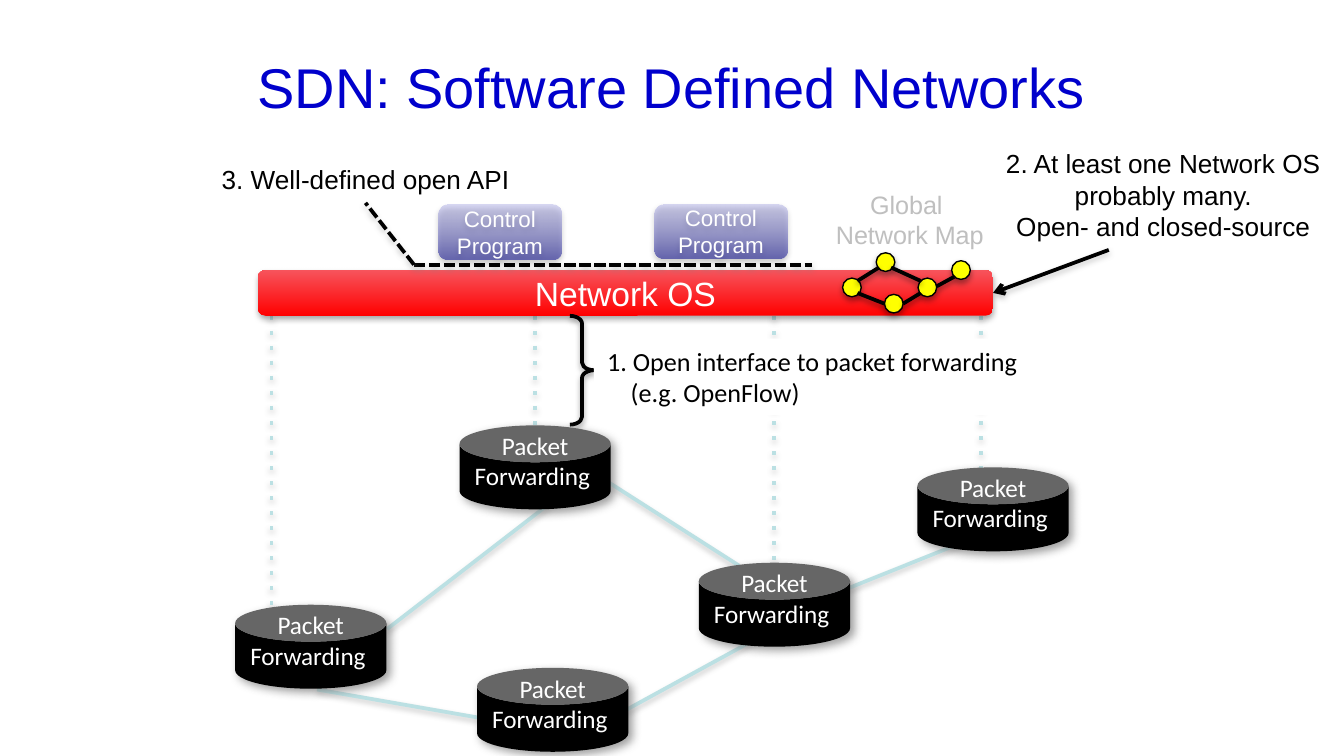
from typing import NamedTuple, Optional

from lxml.etree import SubElement
from pptx import Presentation
from pptx.dml.color import RGBColor
from pptx.enum.shapes import MSO_CONNECTOR, MSO_SHAPE
from pptx.enum.text import MSO_ANCHOR, PP_ALIGN
from pptx.oxml.ns import qn
from pptx.util import Pt

COLORS = {
    "black": "000000", "white": "FFFFFF", "title": "0000CC", "muted": "BFBFBF",
    "link": "BBE0E3", "shade": "808080", "node": "FFFF00",
    "os_low": "FF0000", "os_high": "F7545C",
    "program_low": "1F1F98", "program_high": "A9A9E5",
}


class Area(NamedTuple):
    left: float
    top: float
    width: float
    height: float


class Shadow(NamedTuple):
    color: str
    alpha: int
    blur: float
    distance: float
    angle: int


class Stop(NamedTuple):
    color: str
    alpha: int = 100


class Label(NamedTuple):
    lines: tuple[str, ...]
    size: float
    color: str = "black"
    font: str = "Arial"
    align: PP_ALIGN = PP_ALIGN.CENTER
    indent: float = 0


class Stroke(NamedTuple):
    color: str
    dash: Optional[str] = None
    arrow: bool = False
    shadow: Shadow = Shadow("shade", 38, 3.1, 1.6, 90)


class Segment(NamedTuple):
    x1: float
    y1: float
    x2: float
    y2: float


SOFT = Shadow("black", 35, 3.1, 1.8, 90)
CAN_SHADOW = Shadow("shade", 75, 5, 3, 45)
BRACE_SHADOW = Shadow("shade", 69, 3.1, 1.6, 90)
LINK = Stroke("link")
CONTROL = Stroke("link", dash="dot")
API = Stroke("black", dash="sysDash")
POINTER = Stroke("black", arrow=True)
MAP_EDGE = Stroke("black", shadow=Shadow("black", 38, 3.1, 1.6, 90))
PROGRAM_STOPS = (Stop("program_low", 60), Stop("program_high", 45))
OS_STOPS = (Stop("os_low"), Stop("os_high"))
NO_INSETS = {"margin_top": 0, "margin_bottom": 0}

OS_AREA = Area(138.2, 144.7, 393.8, 24.5)
OS_BOTTOM = OS_AREA.top + OS_AREA.height
PROGRAMS = (Area(234.7, 109.8, 66.2, 29.1), Area(350.6, 109.4, 71.3, 29.1))
LINKS = (
    Segment(207.4, 337, 305.3, 261.4), Segment(318.2, 253.4, 396, 303.1),
    Segment(324, 386.6, 414.7, 337), Segment(169.9, 369.4, 268.6, 386.6),
    Segment(441.4, 320.4, 525.6, 286.6),
)
CONTROL_ENDS = ((145.4, 333.4), (286.6, 227.5), (414.7, 303.1), (525.6, 253.4))
CANS = ((126, 324), (255.6, 357.8), (246.2, 227.9), (374.4, 301.5), (491.5, 250.4))
MAP_NODES = ((451.4, 149), (469.4, 135.4), (491.8, 149), (509.8, 139.7), (473.8, 157.7))
MAP_EDGES = (
    Segment(459.4, 150.5, 470.9, 143.3), Segment(473.8, 162.7, 459.4, 157),
    Segment(493.2, 150.5, 477.4, 143.3), Segment(483.8, 162.7, 493.2, 157),
    Segment(501.8, 153.4, 511.2, 148.3),
)


def rgb(name: str) -> RGBColor:
    return RGBColor.from_string(COLORS[name])


def apply(target, values: dict) -> None:
    for name, value in values.items():
        setattr(target, name, value)


def add_shadow(item, shadow: Shadow) -> None:
    effects = SubElement(item._element.spPr, qn("a:effectLst"))
    outer = SubElement(
        effects, qn("a:outerShdw"), blurRad=str(Pt(shadow.blur)),
        dist=str(Pt(shadow.distance)), dir=str(shadow.angle * 60000),
        algn="ctr", rotWithShape="0")
    color = SubElement(outer, qn("a:srgbClr"), val=COLORS[shadow.color])
    SubElement(color, qn("a:alpha"), val=str(shadow.alpha * 1000))


def write_label(box, label: Label, **frame_values) -> None:
    frame = box.text_frame
    apply(frame, {"word_wrap": True, "vertical_anchor": MSO_ANCHOR.TOP, **frame_values})
    font_values = {"name": label.font, "size": Pt(label.size)}
    for number, line in enumerate(label.lines):
        para = frame.add_paragraph() if number else frame.paragraphs[0]
        para.alignment = label.align
        if number and label.indent:
            para._p.get_or_add_pPr().set("marL", str(Pt(label.indent)))
        span = para.add_run()
        span.text = line
        apply(span.font, font_values)
        span.font.color.rgb = rgb(label.color)


def add_text(page, area: Area, label: Label, **frame_values):
    box = page.shapes.add_textbox(*map(Pt, area))
    write_label(box, label, **frame_values)
    return box


def add_figure(page, preset: MSO_SHAPE, area: Area, fill: Optional[str] = None,
               outline: float = 0, shadow: Optional[Shadow] = None):
    figure = page.shapes.add_shape(preset, *map(Pt, area))
    if fill:
        figure.fill.solid()
        figure.fill.fore_color.rgb = rgb(fill)
    else:
        figure.fill.background()
    if outline:
        figure.line.width = Pt(outline)
        figure.line.color.rgb = rgb("black")
    else:
        figure.line.fill.background()
    if shadow:
        add_shadow(figure, shadow)
    else:
        figure.shadow.inherit = False
    return figure


def add_bar(page, area: Area, stops: tuple[Stop, ...], label: Label):
    bar = add_figure(page, MSO_SHAPE.ROUNDED_RECTANGLE, area, shadow=SOFT)
    bar.fill.gradient()
    bar.fill.gradient_angle = 90
    for target, stop in zip(bar.fill.gradient_stops, stops):
        target.color.rgb = rgb(stop.color)
    for color, stop in zip(bar._element.spPr.iterfind(".//" + qn("a:gs") + "/" + qn("a:srgbClr")), stops):
        SubElement(color, qn("a:alpha"), val=str(stop.alpha * 1000))
    write_label(bar, label, vertical_anchor=MSO_ANCHOR.MIDDLE, **NO_INSETS)
    return bar


def add_line(page, segment: Segment, stroke: Stroke):
    line = page.shapes.add_connector(MSO_CONNECTOR.STRAIGHT, *map(Pt, segment))
    line.line.width = Pt(2)
    line.line.color.rgb = rgb(stroke.color)
    pen = line.line._get_or_add_ln()
    if stroke.dash:
        SubElement(pen, qn("a:prstDash"), val=stroke.dash)
    if stroke.arrow:
        SubElement(pen, qn("a:tailEnd"), type="arrow")
    add_shadow(line, stroke.shadow)
    return line


def main() -> None:
    deck = Presentation()
    apply(deck, {"slide_width": Pt(720), "slide_height": Pt(405)})
    page = deck.slides.add_slide(deck.slide_layouts[6])

    for segment in LINKS:
        add_line(page, segment, LINK)
    for area in PROGRAMS:
        add_bar(page, area, PROGRAM_STOPS, Label(("Control", "Program"), 12, "white"))
    for x, bottom in CONTROL_ENDS:
        add_line(page, Segment(x, OS_BOTTOM, x, bottom), CONTROL)
    network_os = add_bar(page, OS_AREA, OS_STOPS, Label(("Network OS",), 18, "white"))

    brace = add_figure(page, MSO_SHAPE.RIGHT_BRACE, Area(305.3, 169.2, 13, 58.3),
                       outline=2, shadow=BRACE_SHADOW)
    brace.adjustments[0] = 0.32
    interface = add_figure(page, MSO_SHAPE.RECTANGLE, Area(318.2, 181.4, 254.9, 41), "white")
    write_label(interface, Label(("1. Open interface to packet forwarding", "(e.g. OpenFlow)"),
                                 14, font="Calibri", align=PP_ALIGN.LEFT, indent=12.6))

    add_line(page, Segment(221.8, 141.8, 434.9, 141.8), API)
    add_line(page, Segment(221.8, 141.8, 195.8, 108.7), API)
    add_text(page, Area(111.6, 84.2, 169.2, 24.5),
             Label(("3. Well-defined open API",), 14, align=PP_ALIGN.LEFT), word_wrap=False)
    add_text(page, Area(520.6, 75.6, 205.2, 58.3),
             Label(("2. At least one Network OS", "probably many.", "Open- and closed-source"), 14))
    pointer = add_line(page, Segment(594, 133.9, 532, 157), POINTER)
    pointer.end_connect(network_os, 3)
    add_text(page, Area(116.6, 12.2, 486, 67.7),
             Label(("SDN: Software Defined Networks",), 30, "title"),
             vertical_anchor=MSO_ANCHOR.MIDDLE)

    for left, top in CANS:
        can = add_figure(page, MSO_SHAPE.CAN, Area(left, top, 81, 45), "black", shadow=CAN_SHADOW)
        can.adjustments[0] = 0.44
        write_label(can, Label(("Packet", "Forwarding "), 13.5, "white", "Calibri"),
                    word_wrap=False, vertical_anchor=MSO_ANCHOR.BOTTOM, **NO_INSETS)

    add_text(page, Area(439.9, 97.9, 95, 40.3),
             Label(("Global ", "Network Map"), 13.5, "muted"), word_wrap=False)
    for left, top in MAP_NODES:
        add_figure(page, MSO_SHAPE.OVAL, Area(left, top, 10, 10), "node", 0.75, SOFT)
    for segment in MAP_EDGES:
        add_line(page, segment, MAP_EDGE)

    deck.save("out.pptx")


if __name__ == "__main__":
    main()
